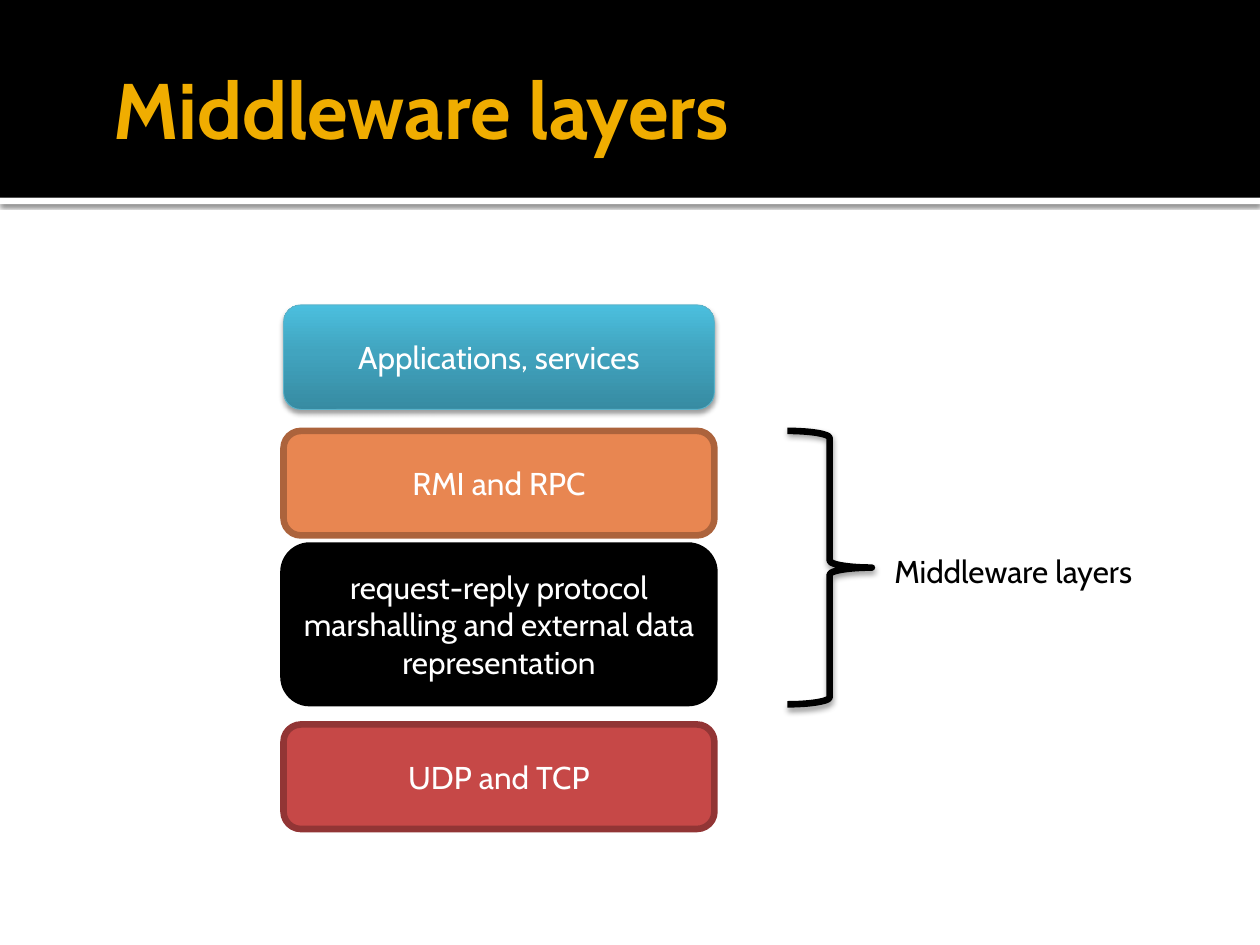
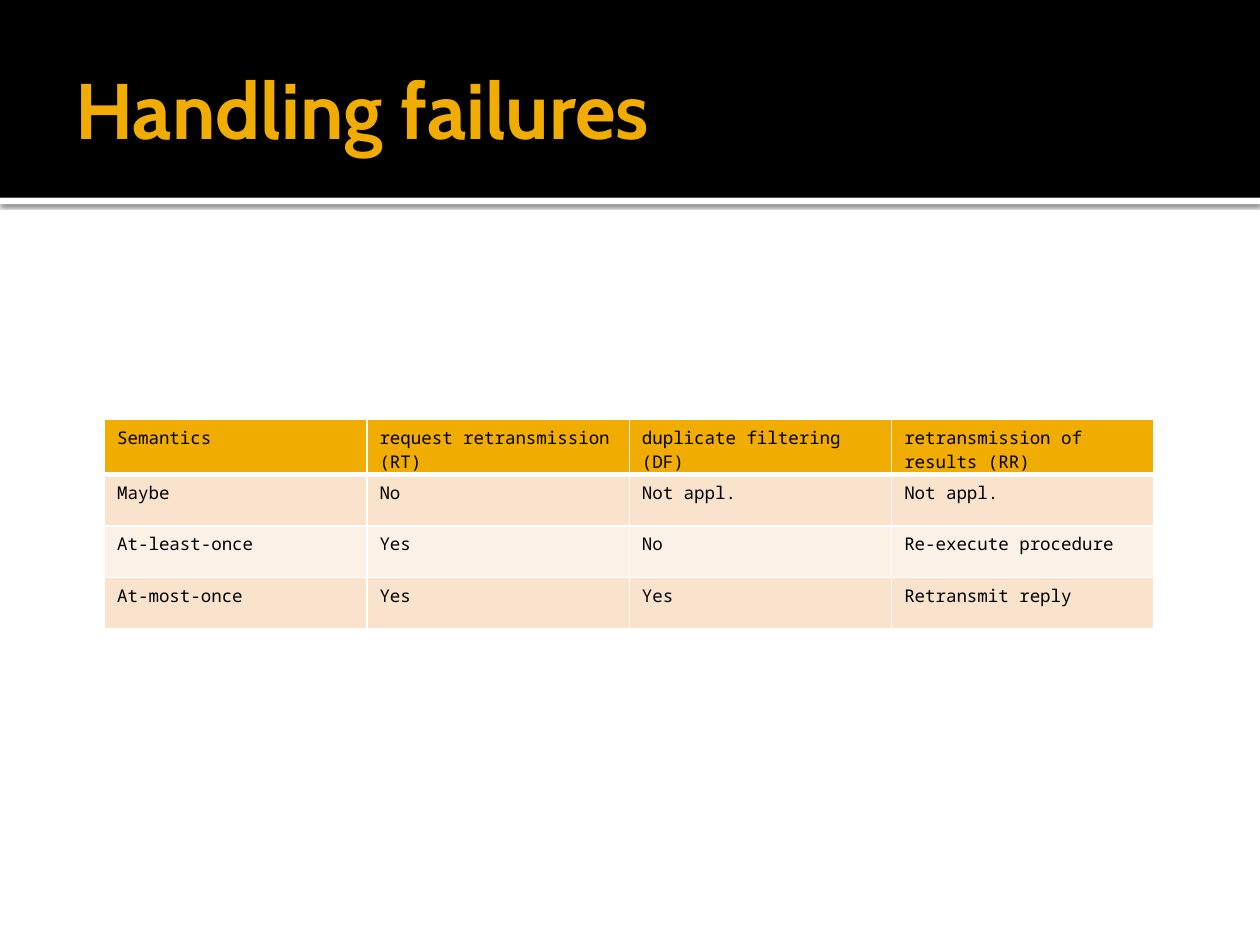
from copy import deepcopy

from lxml.etree import SubElement
from pptx import Presentation
from pptx.dml.color import RGBColor
from pptx.enum.shapes import MSO_SHAPE
from pptx.enum.text import MSO_ANCHOR, PP_ALIGN
from pptx.oxml.ns import qn
from pptx.util import Inches, Pt

COLORS = {
    "black": "000000", "white": "FFFFFF", "gold": "F0AD00",
    "orange": "E88651", "orange_edge": "AC633C",
    "red": "C64847", "red_edge": "923535", "blue_edge": "5BB3CA",
    "blue_dark": "378BA2", "blue_mid": "41A4BF", "blue_light": "4BBFDE",
    "row_dark": "F9E3CC", "row_light": "FCF1E7",
}
BLUE_GRADIENT = [(0, "blue_dark"), (0.55, "blue_mid"), (1, "blue_light")]


def rgb(name):
    return RGBColor.from_string(COLORS[name])


def write(frame, text, size=18, color="black", font="Cabin", bold=False,
          align=PP_ALIGN.LEFT, anchor=MSO_ANCHOR.TOP, wrap=True):
    frame.word_wrap = wrap
    frame.vertical_anchor = anchor
    paragraph = frame.paragraphs[0]
    paragraph.alignment = align
    run = paragraph.add_run()
    run.text = text
    run.font.size = Pt(size)
    run.font.name = font
    run.font.bold = bold
    run.font.color.rgb = rgb(color)


class Deck:
    def __init__(self):
        self.prs = Presentation()
        self.prs.slide_width, self.prs.slide_height = Inches(10), Inches(7.5)
        self.slide = None

    def new_slide(self, title, indent=0):
        self.slide = self.prs.slides.add_slide(self.prs.slide_layouts[6])
        # Header band with a shadowed white strip below
        self.shape(MSO_SHAPE.RECTANGLE, 0, 1.57, 10, 0.05, fill="white",
                   shadow=(60, 2.5, 0.8))
        self.shape(MSO_SHAPE.RECTANGLE, 0, 0, 10, 1.57, fill="black")
        frame = self.text(title, 0.5, 0.17, 9, 1.37, size=45, color="gold",
                          bold=True, anchor=MSO_ANCHOR.MIDDLE)
        frame.margin_left = Inches(0.1 + indent)
        frame.margin_right = Inches(0.05)

    def text(self, text, left, top, width, height, **style):
        box = self.slide.shapes.add_textbox(
            Inches(left), Inches(top), Inches(width), Inches(height))
        write(box.text_frame, text, **style)
        return box.text_frame

    def shape(self, preset, left, top, width, height, fill=None, line=None,
              weight=3.78, shadow=None):
        shape = self.slide.shapes.add_shape(
            preset, Inches(left), Inches(top), Inches(width), Inches(height))
        if fill is None:
            shape.fill.background()
        elif isinstance(fill, list):
            self.gradient(shape, fill)
        else:
            shape.fill.solid()
            shape.fill.fore_color.rgb = rgb(fill)
        if line:
            shape.line.color.rgb = rgb(line)
            shape.line.width = Pt(weight)
        else:
            shape.line.fill.background()
        shape.shadow.inherit = False
        if shadow:
            self.drop_shadow(shape, *shadow)
        return shape

    def gradient(self, shape, stops):
        shape.fill.gradient()
        shape.fill.gradient_angle = 90
        stop_list = next(shape.element.iter(qn("a:gsLst")))
        while len(stop_list) < len(stops):
            stop_list.append(deepcopy(stop_list[0]))
        for stop, (position, color) in zip(shape.fill.gradient_stops, stops):
            stop.position = position
            stop.color.rgb = rgb(color)

    def drop_shadow(self, shape, opacity, blur, distance):
        effects = next(shape.element.iter(qn("a:effectLst")))
        outer = SubElement(effects, qn("a:outerShdw"), blurRad=str(Pt(blur)),
                           dist=str(Pt(distance)), dir="5400000",
                           algn="ctr", rotWithShape="0")
        color = SubElement(outer, qn("a:srgbClr"), val=COLORS["black"])
        SubElement(color, qn("a:alpha"), val=str(opacity * 1000))

    def layer(self, text, top, height, **style):
        box = self.shape(MSO_SHAPE.ROUNDED_RECTANGLE, 2.25, top, 3.42, height,
                         **style)
        write(box.text_frame, text, color="white", align=PP_ALIGN.CENTER,
              anchor=MSO_ANCHOR.MIDDLE)

    def table(self, rows, left, top, width, row_height):
        table = self.slide.shapes.add_table(
            len(rows), len(rows[0]), Inches(left), Inches(top),
            Inches(width), Inches(row_height * len(rows))).table
        table.first_row = table.horz_banding = False
        for r, values in enumerate(rows):
            fill = "gold" if r == 0 else "row_dark" if r % 2 else "row_light"
            for c, value in enumerate(values):
                cell = table.cell(r, c)
                self.borders(cell, top=3 if r == 1 else 1,
                             bottom=3 if r == 0 else 1)
                cell.fill.solid()
                cell.fill.fore_color.rgb = rgb(fill)
                write(cell.text_frame, value, size=10, font="Noto Sans Mono")

    def borders(self, cell, top, bottom):
        properties = cell._tc.get_or_add_tcPr()
        for side, weight in zip("LRTB", (1, 1, top, bottom)):
            line = SubElement(properties, qn(f"a:ln{side}"), w=str(Pt(weight)))
            solid = SubElement(line, qn("a:solidFill"))
            SubElement(solid, qn("a:srgbClr"), val=COLORS["white"])


def middleware_layers(deck):
    deck.new_slide("Middleware layers", indent=0.3)
    # Stack of layers
    deck.layer("Applications, services", 2.42, 0.83, fill=BLUE_GRADIENT,
               line="blue_edge", weight=0.5, shadow=(38, 3.1, 2))
    deck.layer("RMI and RPC", 3.42, 0.83, fill="orange", line="orange_edge")
    deck.layer("request-reply protocol marshalling and external data "
               "representation", 4.33, 1.25, fill="black", line="black")
    deck.layer("UDP and TCP", 5.75, 0.83, fill="red", line="red_edge")
    # Brace around the middleware
    deck.shape(MSO_SHAPE.RIGHT_BRACE, 6.25, 3.42, 0.67, 2.17, line="black",
               shadow=(38, 3.5, 2))
    deck.text("Middleware layers", 7, 4.33, 2.1, 0.4, wrap=False)


def handling_failures(deck):
    deck.new_slide("Handling failures")
    # Invocation semantics and their failure measures
    semantics = [
        ("Semantics", "request retransmission (RT)",
         "duplicate filtering (DF)", "retransmission of results (RR)"),
        ("Maybe", "No", "Not appl.", "Not appl."),
        ("At-least-once", "Yes", "No", "Re-execute procedure"),
        ("At-most-once", "Yes", "Yes", "Retransmit reply"),
    ]
    deck.table(semantics, 0.83, 3.33, 8.33, 0.41)


def main():
    deck = Deck()
    middleware_layers(deck)
    handling_failures(deck)
    deck.prs.save("out.pptx")


if __name__ == "__main__":
    main()
